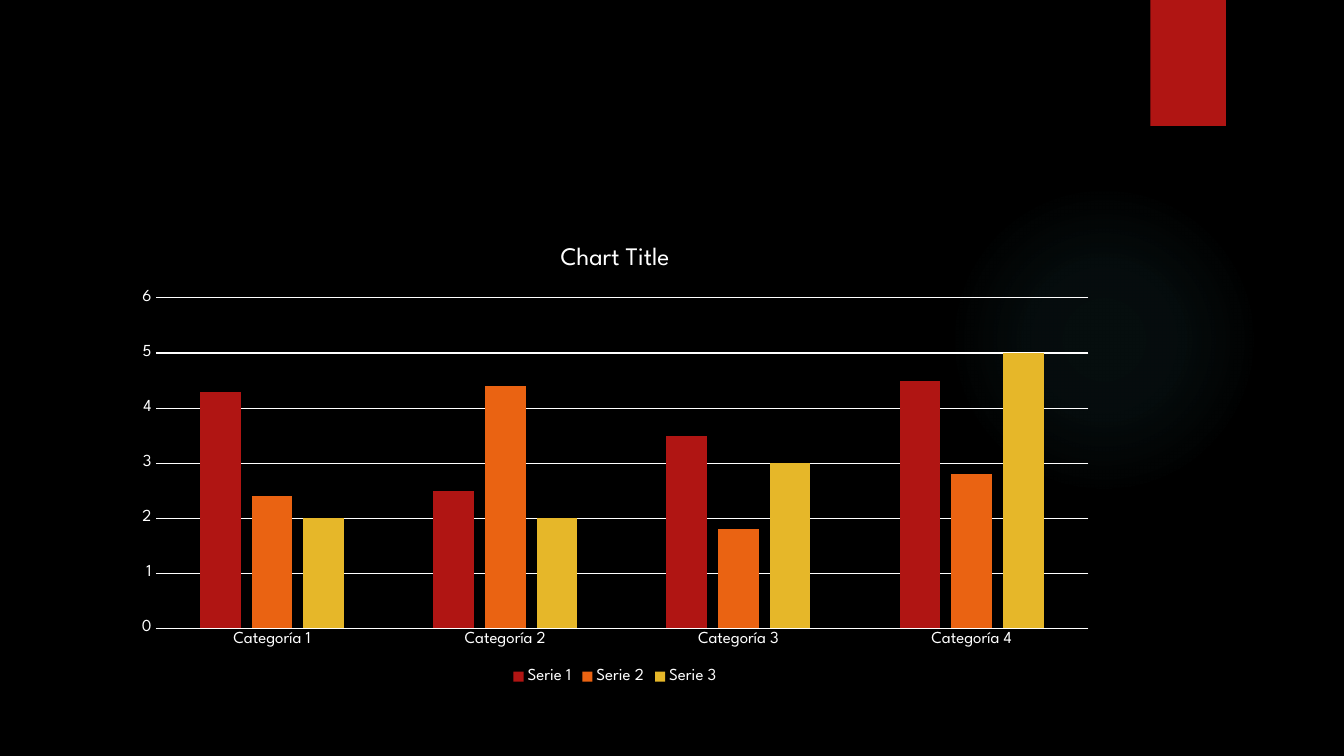
from lxml import etree
from pptx import Presentation
from pptx.chart.data import CategoryChartData
from pptx.dml.color import RGBColor
from pptx.enum.chart import XL_CHART_TYPE as ChartType, XL_LEGEND_POSITION as LegendPosition
from pptx.enum.chart import XL_TICK_MARK as TickMark
from pptx.enum.shapes import MSO_SHAPE as Shape
from pptx.oxml import parse_xml
from pptx.oxml.ns import qn
from pptx.util import Inches, Pt

# Content
TITLE = "Chart Title"
CATEGORIES = [f"Categoría {number}" for number in range(1, 5)]
BLACK = RGBColor(0x00, 0x00, 0x00)
WHITE = RGBColor(0xFF, 0xFF, 0xFF)
RED = RGBColor(0xB0, 0x15, 0x13)
ORANGE = RGBColor(0xEA, 0x63, 0x12)
YELLOW = RGBColor(0xE6, 0xB7, 0x29)
TEAL = RGBColor(0x50, 0xB9, 0xC1)
SERIES = [
    ("Serie 1", (4.3, 2.5, 3.5, 4.5), RED),
    ("Serie 2", (2.4, 4.4, 1.8, 2.8), ORANGE),
    ("Serie 3", (2, 2, 3, 5), YELLOW),
]
GLOW_STOPS = [(0, 7), (36, 6), (69, 0)]  # position and opacity, percent
PLOT_AREA = {"x": 0.034, "y": 0.156, "w": 0.946, "h": 0.714}  # share of the chart
FONT = "League Spartan"
DRAWING_NS = "http://schemas.openxmlformats.org/drawingml/2006/main"


def style_font(font, size):
    font.name, font.size, font.bold = FONT, Pt(size), False
    font.color.rgb = WHITE


def style_line(line):
    line.color.rgb = WHITE
    line.width = Pt(0.75)


def add_plain_shape(kind, left, top, width, height):
    shape = slide.shapes.add_shape(kind, *map(Inches, (left, top, width, height)))
    shape.shadow.inherit = False
    shape.line.fill.background()
    return shape


deck = Presentation()
deck.slide_width, deck.slide_height = Inches(13.33), Inches(7.5)
slide = deck.slides.add_slide(deck.slide_layouts[6])
slide.background.fill.solid()
slide.background.fill.fore_color.rgb = BLACK

# Soft round glow
glow = add_plain_shape(Shape.OVAL, 9.41, 1.83, 3.08, 3.08)
glow.fill.background()
stops = "".join(
    f'<a:gs pos="{position * 1000}"><a:srgbClr val="{TEAL}">'
    f'<a:alpha val="{opacity * 1000}"/></a:srgbClr></a:gs>'
    for position, opacity in GLOW_STOPS
)
gradient = parse_xml(
    f'<a:gradFill xmlns:a="{DRAWING_NS}"><a:gsLst>{stops}</a:gsLst><a:path path="circle">'
    '<a:fillToRect l="50000" t="50000" r="50000" b="50000"/></a:path></a:gradFill>'
)
properties = glow.element.spPr
properties.replace(properties.find(qn("a:noFill")), gradient)

# Red bookmark
bookmark = add_plain_shape(Shape.RECTANGLE, 11.41, 0, 0.75, 1.25)
bookmark.fill.solid()
bookmark.fill.fore_color.rgb = RED

# Column chart
data = CategoryChartData()
data.categories = CATEGORIES
for name, values, _ in SERIES:
    data.add_series(name, values)
chart = slide.shapes.add_chart(
    ChartType.COLUMN_CLUSTERED, *map(Inches, (1.21, 2.24, 9.78, 4.59)), data
).chart
style_font(chart.font, 10)

span = chart.chart_title.text_frame.paragraphs[0].add_run()
span.text = TITLE
style_font(span.font, 18)
chart.chart_title.include_in_layout = False

plot = chart.plots[0]
plot.gap_width, plot.overlap, plot.vary_by_categories = 219, -27, False
for series, (_, _, color) in zip(plot.series, SERIES):
    series.format.fill.solid()
    series.format.fill.fore_color.rgb = color

# Axes and legend
for axis in (chart.category_axis, chart.value_axis):
    axis.major_tick_mark = axis.minor_tick_mark = TickMark.NONE
    style_font(axis.tick_labels.font, 12)
style_line(chart.category_axis.format.line)
chart.value_axis.format.line.fill.background()
style_line(chart.value_axis.major_gridlines.format.line)
chart.value_axis.minimum_scale, chart.value_axis.maximum_scale = 0, 6
chart.value_axis.major_unit = 1

chart.has_legend = True
chart.legend.position = LegendPosition.BOTTOM
chart.legend.include_in_layout = False
style_font(chart.legend.font, 12)

# Fixed plot area inside the chart
plot_area = chart.element.chart.plotArea
for old_layout in plot_area.findall(qn("c:layout")):
    plot_area.remove(old_layout)
layout = etree.Element(qn("c:layout"))
manual = etree.SubElement(layout, qn("c:manualLayout"))
settings = {"layoutTarget": "inner", "xMode": "edge", "yMode": "edge", **PLOT_AREA}
for tag, value in settings.items():
    etree.SubElement(manual, qn(f"c:{tag}")).set("val", str(value))
plot_area.insert(0, layout)

deck.save("out.pptx")
